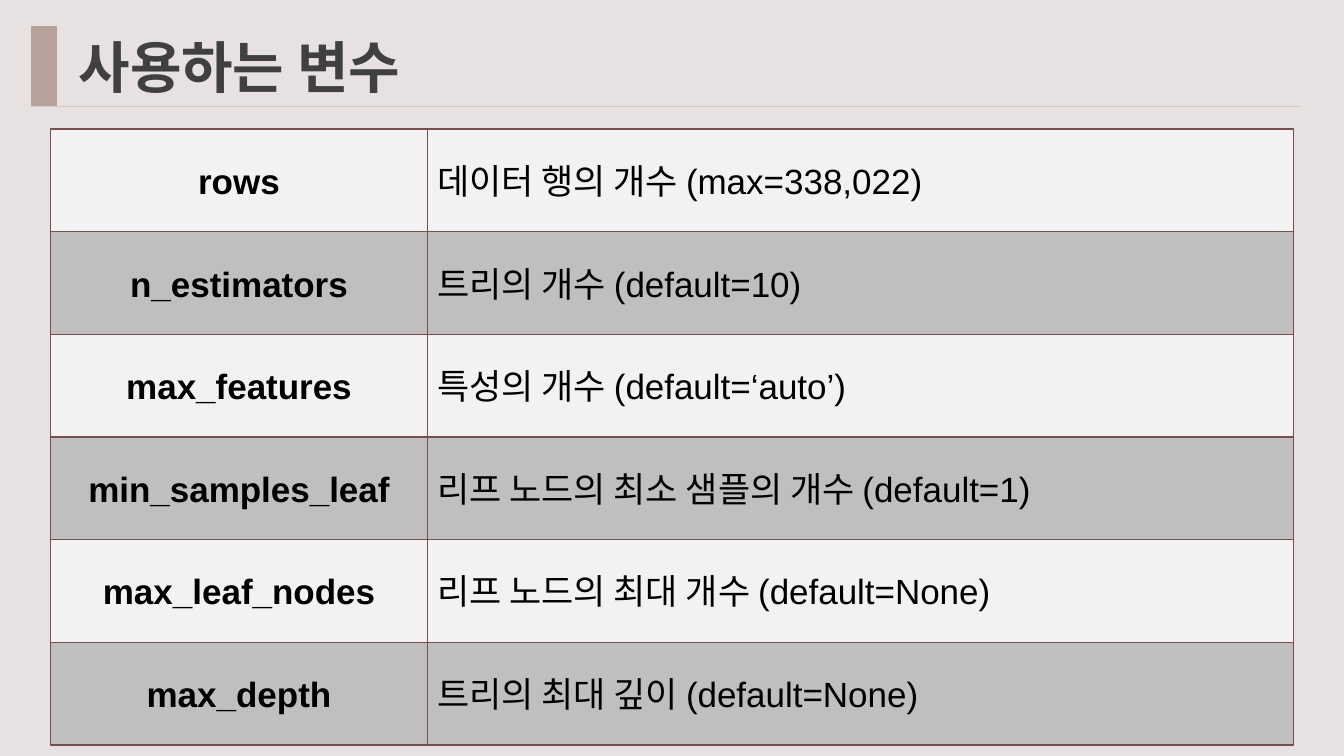
from lxml.etree import SubElement
from pptx import Presentation
from pptx.dml.color import RGBColor
from pptx.enum.shapes import MSO_CONNECTOR as Connector, MSO_SHAPE as Shape
from pptx.enum.text import MSO_ANCHOR as Anchor, PP_ALIGN as Align
from pptx.oxml.ns import qn
from pptx.util import Inches, Pt

TITLE = "사용하는 변수"
VARIABLES = [
    ("rows", "데이터 행의 개수 (max=338,022)"),
    ("n_estimators", "트리의 개수 (default=10)"),
    ("max_features", "특성의 개수 (default=‘auto’)"),
    ("min_samples_leaf", "리프 노드의 최소 샘플의 개수 (default=1)"),
    ("max_leaf_nodes", "리프 노드의 최대 개수 (default=None)"),
    ("max_depth", "트리의 최대 깊이 (default=None)"),
]

BACKGROUND = RGBColor(0xE7, 0xE2, 0xE1)
ACCENT = RGBColor(0xB6, 0xA2, 0x9A)
RULE = RGBColor(0xD3, 0xCA, 0xC4)
TITLE_COLOR = RGBColor(0x40, 0x40, 0x40)
TEXT_COLOR = RGBColor(0, 0, 0)
BORDER = RGBColor(0x76, 0x4E, 0x4E)
ROW_FILLS = (RGBColor(0xF2, 0xF2, 0xF2), RGBColor(0xBF, 0xBF, 0xBF))

TITLE_FORMAT = {"name": "Noto Sans CJK KR", "size": Pt(40), "bold": True}
NAME_FORMAT = {"name": "Arial", "size": Pt(25), "bold": True}
MEANING_FORMAT = {"name": "Arial", "size": Pt(25), "bold": False}

SLIDE_WIDTH, SLIDE_HEIGHT = Inches(13.33), Inches(7.5)
HEADER_LEFT, HEADER_TOP, HEADER_HEIGHT = Inches(0.31), Inches(0.265), Inches(0.79)
HEADER_RIGHT, BAR_WIDTH = Inches(12.9), Inches(0.25)
GRID_LEFT, GRID_TOP, GRID_BOTTOM = Inches(0.5), Inches(1.28), Inches(7.39)
ROW_HEIGHT = (GRID_BOTTOM - GRID_TOP) // len(VARIABLES)
NAME_WIDTH, MEANING_WIDTH = Inches(3.74), Inches(8.59)
COLUMNS = (
    (GRID_LEFT, NAME_WIDTH, Align.CENTER, NAME_FORMAT),
    (GRID_LEFT + NAME_WIDTH, MEANING_WIDTH, Align.LEFT, MEANING_FORMAT),
)


def write(text_frame, text, align, color, font_format):
    text_frame.vertical_anchor = Anchor.MIDDLE
    text_frame.word_wrap = True
    paragraph = text_frame.paragraphs[0]
    paragraph.alignment = align
    run = paragraph.add_run()
    run.text = text
    for attribute, value in font_format.items():
        setattr(run.font, attribute, value)
    run.font.color.rgb = color


def add_rectangle(slide, left, top, width, height, fill, line):
    shape = slide.shapes.add_shape(Shape.RECTANGLE, left, top, width, height)
    shape.shadow.inherit = False
    shape.fill.solid()
    shape.fill.fore_color.rgb = fill
    shape.line.color.rgb = line
    shape.line.width = Pt(1)
    return shape


def add_header(slide):
    add_rectangle(slide, HEADER_LEFT, HEADER_TOP, BAR_WIDTH, HEADER_HEIGHT,
                  ACCENT, ACCENT)

    rule_top = HEADER_TOP + HEADER_HEIGHT
    rule = slide.shapes.add_connector(Connector.STRAIGHT, HEADER_LEFT, rule_top,
                                      HEADER_RIGHT, rule_top)
    rule.line.color.rgb = RULE
    rule.line.width = Pt(0.5)
    SubElement(rule._element.spPr, qn("a:effectLst"))

    title = slide.shapes.title
    title.left, title.top = HEADER_LEFT + BAR_WIDTH, HEADER_TOP
    title.width, title.height = HEADER_RIGHT - title.left, HEADER_HEIGHT
    title.text_frame.margin_left = Inches(0.22)
    write(title.text_frame, TITLE, Align.LEFT, TITLE_COLOR, TITLE_FORMAT)


def add_variable_grid(slide):
    for row, variable in enumerate(VARIABLES):
        top = GRID_TOP + row * ROW_HEIGHT
        fill = ROW_FILLS[row % len(ROW_FILLS)]
        for text, (left, width, align, font_format) in zip(variable, COLUMNS):
            cell = add_rectangle(slide, left, top, width, ROW_HEIGHT, fill, BORDER)
            write(cell.text_frame, text, align, TEXT_COLOR, font_format)


def main():
    presentation = Presentation()
    presentation.slide_width, presentation.slide_height = SLIDE_WIDTH, SLIDE_HEIGHT
    slide = presentation.slides.add_slide(presentation.slide_layouts.get_by_name("Title Only"))
    slide.background.fill.solid()
    slide.background.fill.fore_color.rgb = BACKGROUND
    add_header(slide)
    add_variable_grid(slide)
    presentation.save("out.pptx")


if __name__ == "__main__":
    main()
